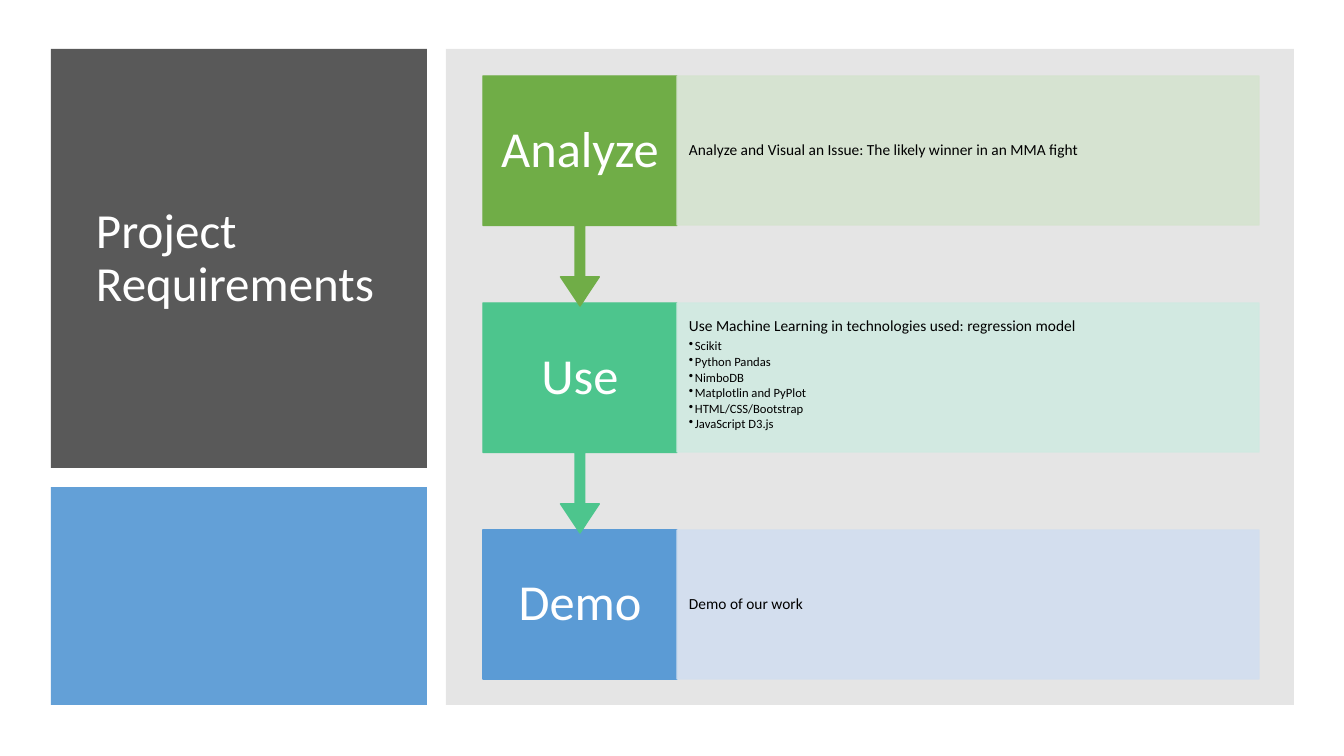
from dataclasses import dataclass

from lxml import etree
from pptx import Presentation
from pptx import util as u
from pptx.dml.color import RGBColor
from pptx.enum import shapes as kinds, text as tx
from pptx.oxml import ns

SCALE = 914400 / 100.8  # EMU in one pixel


@dataclass(frozen=True)
class Theme:
    """Colours, font and type sizes of the slide."""
    font: str = "Calibri"
    white: str = "FFFFFF"
    black: str = "000000"
    dark: str = "595959"
    gray: str = "808080"
    green: str = "70AD47"
    pale_green: str = "D5E3CF"
    mint: str = "4DC58D"
    pale_mint: str = "D0EAE1"
    blue: str = "5B9BD5"
    pale_blue: str = "D2DEEF"
    title: int = 35
    step: int = 36
    body: int = 11
    item: int = 9


THEME = Theme()
ITEMS = ["Scikit", "Python Pandas", "NimboDB", "Matplotlin and PyPlot",
         "HTML/CSS/Bootstrap", "JavaScript D3.js"]
STEPS = [
    ("Analyze", "Analyze and Visual an Issue: The likely winner in an MMA fight",
     [], THEME.green, THEME.pale_green),
    ("Use", "Use Machine Learning in technologies used: regression model",
     ITEMS, THEME.mint, THEME.pale_mint),
    ("Demo", "Demo of our work", [], THEME.blue, THEME.pale_blue),
]


def px(n):
    """Turn pixels into EMU."""
    return u.Emu(round(n * SCALE))


def tint(fill, color, alpha=100):
    """Fill with a solid colour at an opacity in percent."""
    fill.solid()
    fill.fore_color.rgb = RGBColor.from_string(color)
    if alpha < 100:
        node = fill._xPr.find(".//" + ns.qn("a:srgbClr"))
        etree.SubElement(node, ns.qn("a:alpha")).set("val", str(alpha * 1000))


def block(slide, box, color, alpha=100, kind=kinds.MSO_SHAPE.RECTANGLE, edge=False):
    """Add a flat shape, with a 1 pt edge in its own colour if asked."""
    shape = slide.shapes.add_shape(kind, *map(px, box))
    shape.shadow.inherit = False
    tint(shape.fill, color, alpha)
    if edge:
        tint(shape.line.fill, color, alpha)
        shape.line.width = u.Pt(1)
    else:
        shape.line.fill.background()
    return shape


def frame(shape, side, end, anchor=tx.MSO_ANCHOR.MIDDLE):
    """Set the insets and anchor of a shape's text and return its frame."""
    area = shape.text_frame
    area.word_wrap = True
    area.margin_left = area.margin_right = px(side)
    area.margin_top = area.margin_bottom = px(end)
    area.vertical_anchor = anchor
    return area


def write(para, words, size, color, align=tx.PP_ALIGN.LEFT):
    """Put styled words into a paragraph."""
    para.text = words
    para.alignment = align
    para.line_spacing = 0.9
    para.font.name = THEME.font
    para.font.size = u.Pt(size)
    para.font.color.rgb = RGBColor.from_string(color)


def bullet(para):
    """Make a paragraph a second-level bullet with a tight hanging indent."""
    para.level = 1
    para.space_after = u.Pt(THEME.item * 0.15)
    props = para._p.get_or_add_pPr()
    props.set("marL", str(px(6)))
    props.set("indent", str(-px(6)))
    etree.SubElement(props, ns.qn("a:buChar")).set("char", "\u2022")
    # The schema wants the bullet ahead of the default run properties.
    props.append(props.find(ns.qn("a:defRPr")))


def side(slide, box):
    """Draw the left column: the title panel above a blue panel."""
    left, top, width, height = box
    upper, gap = 419, 19
    panel = block(slide, (left, top, width, upper), THEME.dark)
    title = slide.shapes.title
    title.left, title.top = px(left + 35), px(top + 32)
    title.width, title.height = px(width - 63), px(upper - 62)
    area = frame(title, 10, 5)
    area.auto_size = tx.MSO_AUTO_SIZE.NONE
    write(area.paragraphs[0], "Project Requirements", THEME.title, THEME.white)
    panel._element.addnext(title._element)
    low = upper + gap
    block(slide, (left, top + low, width, height - low), THEME.blue, 95)


def step(slide, box, label, head, items, color, pale, arrow):
    """Draw one step: a label block, with an arrow down if asked, and its body."""
    left, top, width, height = box
    part = width // 4
    if arrow:
        tag = block(slide, (left, top, part, 230), color,
                    kind=kinds.MSO_SHAPE.DOWN_ARROW_CALLOUT, edge=True)
        for i, value in enumerate((0.05, 0.1, 0.15, 0.65)):
            tag.adjustments[i] = value
    else:
        tag = block(slide, (left, top, part, height), color, edge=True)
    write(frame(tag, 14, 28).paragraphs[0], label, THEME.step, THEME.white,
          tx.PP_ALIGN.CENTER)

    body = block(slide, (left + part, top, width - part, height), pale, 90, edge=True)
    anchor = tx.MSO_ANCHOR.TOP if items else tx.MSO_ANCHOR.MIDDLE
    area = frame(body, 12, 15, anchor)
    first = area.paragraphs[0]
    write(first, head, THEME.body, THEME.black)
    first.space_after = u.Pt(THEME.body * 0.35)
    for item in items:
        para = area.add_paragraph()
        write(para, item, THEME.item, THEME.black)
        bullet(para)


def flow(slide, box):
    """Draw the gray panel and its steps, last first so arrows lie on top."""
    left, top, width, height = box
    block(slide, box, THEME.gray, 20)
    pitch, last = 227, len(STEPS) - 1
    for i in range(last, -1, -1):
        area = (left + 37, top + 27 + i * pitch, 776, 149)
        step(slide, area, *STEPS[i], arrow=i < last)


def main():
    """Build and save the slide."""
    deck = Presentation()
    deck.slide_width, deck.slide_height = px(1344), px(756)
    slide = deck.slides.add_slide(deck.slide_layouts.get_by_name("Title Only"))
    side(slide, (51, 49, 376, 656))
    flow(slide, (446, 49, 848, 656))
    deck.save("out.pptx")


main()
